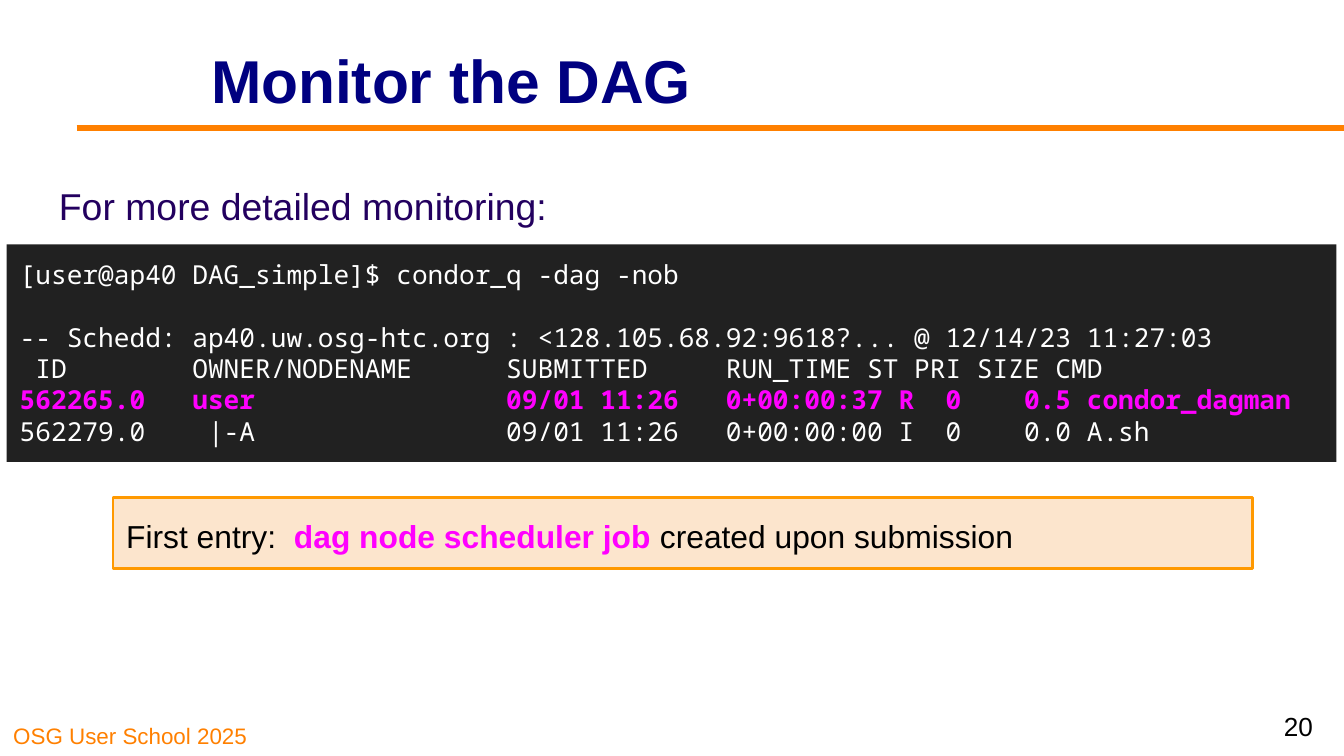
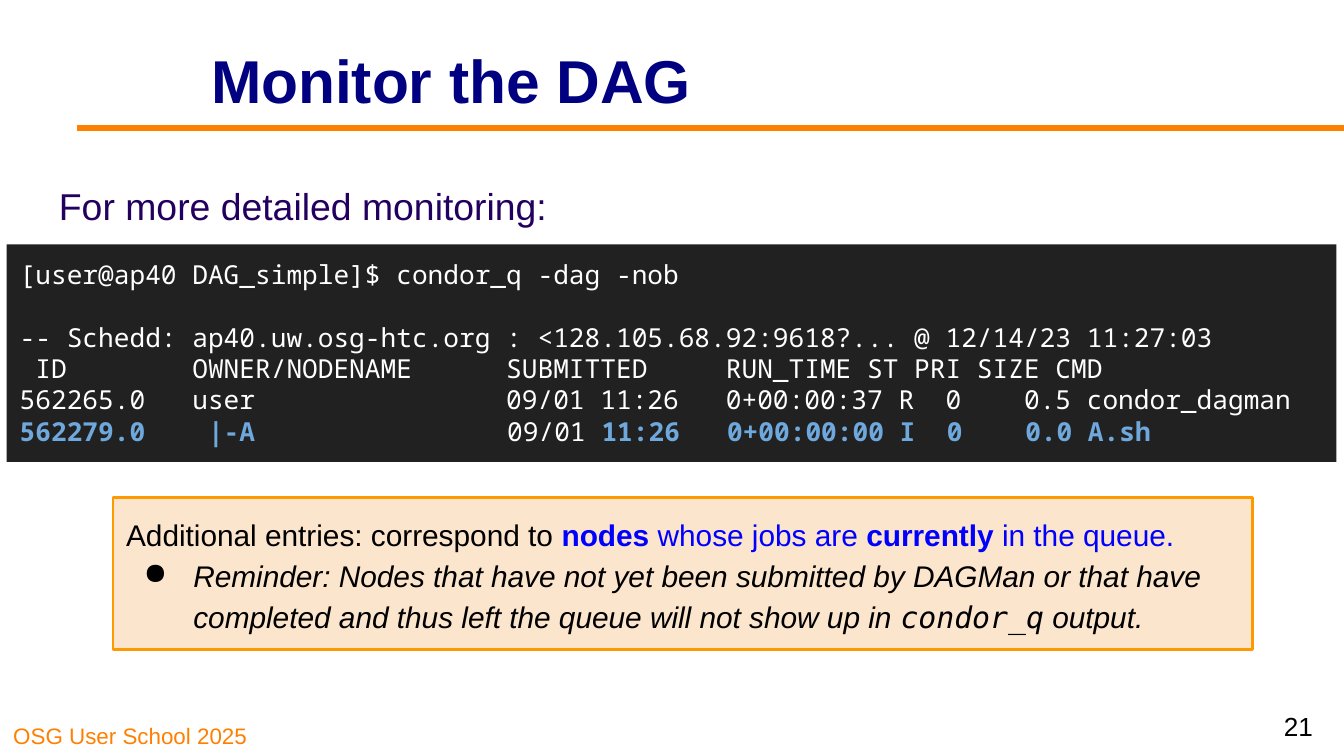
from lxml.etree import SubElement
from pptx import Presentation
from pptx.dml.color import RGBColor
from pptx.enum.shapes import MSO_CONNECTOR, MSO_SHAPE
from pptx.enum.text import MSO_ANCHOR, PP_ALIGN
from pptx.oxml.ns import qn
from pptx.util import Pt

ORANGE = RGBColor(0xFF, 0x80, 0x00)
NAVY = RGBColor(0x00, 0x00, 0x80)
PURPLE = RGBColor(0x23, 0x00, 0x5F)
CONSOLE = RGBColor(0x21, 0x21, 0x21)
PEACH = RGBColor(0xFC, 0xE5, 0xCD)
AMBER = RGBColor(0xFF, 0x99, 0x00)
MAGENTA = RGBColor(0xFF, 0x00, 0xFF)
SKY = RGBColor(0x6F, 0xA8, 0xDC)
BLUE = RGBColor(0x00, 0x00, 0xFF)
BLACK = RGBColor(0x00, 0x00, 0x00)
WHITE = RGBColor(0xFF, 0xFF, 0xFF)

WIDTH, HEIGHT = 720, 405
INSET = 7.2

PROMPT = "[user@ap40 DAG_simple]$ condor_q -dag -nob"
SCHEDD = "-- Schedd: ap40.uw.osg-htc.org : <128.105.68.92:9618?... @ 12/14/23 11:27:03"
HEADINGS = " ID        OWNER/NODENAME      SUBMITTED     RUN_TIME ST PRI SIZE CMD"
MANAGER_JOB = "562265.0   user                09/01 11:26   0+00:00:37 R  0    0.5 condor_dagman"
NODE_JOB = ("562279.0    |-A                ", "09/01", " 11:26   0+00:00:00 I  0    0.0 A.sh")


class Deck:
    """Holds the shared style and the current slide, and draws each kind of element."""

    def __init__(self):
        self.prs = Presentation()
        self.prs.slide_width, self.prs.slide_height = Pt(WIDTH), Pt(HEIGHT)
        self.slide = None

    def start(self, title, lead, number):
        self.slide = self.prs.slides.add_slide(self.prs.slide_layouts[6])
        self.label((0, 382.5, 178.5, 22.5), "OSG User School 2025", 12, ORANGE,
                   anchor=MSO_ANCHOR.BOTTOM, inset=3.6)
        self.rule(41, 68.5, WIDTH)
        self.label((106, 16, 590, 45), title, 32.4, NAVY, bold=True)
        self.label((24.5, 91, 671, 269), lead, 20, PURPLE)
        self.label((667.5, 374.5, 43, 31), str(number), 14, BLACK,
                   anchor=MSO_ANCHOR.MIDDLE, alignment=PP_ALIGN.RIGHT, line_spacing=0.9)

    def rule(self, left, top, right):
        line = self.slide.shapes.add_connector(
            MSO_CONNECTOR.STRAIGHT, Pt(left), Pt(top), Pt(right), Pt(top))
        line.line.color.rgb = ORANGE
        line.line.width = Pt(3)
        SubElement(line._element.spPr, qn("a:effectLst"))

    def label(self, box, text, size, color, bold=False, anchor=MSO_ANCHOR.TOP,
              inset=INSET, **layout):
        holder = self.slide.shapes.add_textbox(*map(Pt, box))
        base = {"name": "Arial", "size": Pt(size), "color": color, "bold": bold}
        self.fill_text(holder.text_frame, [([(text, {})], layout)], base, anchor, inset)

    def panel(self, box, fill, paragraphs, base, border=None):
        panel = self.slide.shapes.add_shape(MSO_SHAPE.RECTANGLE, *map(Pt, box))
        panel.shadow.inherit = False
        panel.fill.solid()
        panel.fill.fore_color.rgb = fill
        if border is None:
            panel.line.fill.background()
        else:
            panel.line.color.rgb = border
            panel.line.width = Pt(1.5)
        self.fill_text(panel.text_frame, paragraphs, base)

    def console(self, manager_format, node_formats):
        lines = [
            ([(PROMPT, {})], {}),
            ([(SCHEDD, {})], {"space_before": Pt(17)}),
            ([(HEADINGS, {})], {}),
            ([(MANAGER_JOB, manager_format)], {}),
            (list(zip(NODE_JOB, node_formats)), {}),
        ]
        base = {"name": "Noto Sans Mono", "size": Pt(14), "color": WHITE}
        self.panel((3.5, 131, 712.5, 116.5), CONSOLE, lines, base)

    def note(self, height, size, paragraphs):
        base = {"name": "Arial", "size": Pt(size), "color": BLACK}
        paragraphs = [(runs, {"line_spacing": 1.15, **layout}) for runs, layout in paragraphs]
        self.panel((60.5, 266.5, 610.5, height), PEACH, paragraphs, base, AMBER)

    def fill_text(self, frame, paragraphs, base, anchor=MSO_ANCHOR.TOP, inset=INSET):
        settings = {"word_wrap": True, "vertical_anchor": anchor,
                    "margin_left": Pt(INSET), "margin_right": Pt(INSET),
                    "margin_top": Pt(inset), "margin_bottom": Pt(inset)}
        for key, value in settings.items():
            setattr(frame, key, value)
        for index, (runs, layout) in enumerate(paragraphs):
            paragraph = frame.add_paragraph() if index else frame.paragraphs[0]
            layout = {"alignment": PP_ALIGN.LEFT, **layout}
            if layout.pop("bullet", False):
                self.bullet(paragraph)
            for key, value in layout.items():
                setattr(paragraph, key, value)
            for text, changes in runs:
                run = paragraph.add_run()
                run.text = text
                for key, value in {**base, **changes}.items():
                    if key == "color":
                        run.font.color.rgb = value
                    else:
                        setattr(run.font, key, value)

    def bullet(self, paragraph):
        properties = paragraph._p.get_or_add_pPr()
        properties.set("marL", str(Pt(36)))
        properties.set("indent", str(Pt(-26.6)))
        color = SubElement(properties, qn("a:buClr"))
        SubElement(color, qn("a:srgbClr"), val=str(BLACK))
        SubElement(properties, qn("a:buChar"), char="●")


def main():
    deck = Deck()
    title, lead = "Monitor the DAG", "For more detailed monitoring:"
    magenta = {"color": MAGENTA, "bold": True}
    sky = {"color": SKY, "bold": True}
    blue = {"color": BLUE}
    strong_blue = {"color": BLUE, "bold": True}
    italic = {"italic": True}

    deck.start(title, lead, 20)
    deck.console(magenta, ({}, {}, {}))
    deck.note(38, 17, [([
        ("First entry: ", {}),
        (" dag node scheduler job ", magenta),
        ("created upon submission", {}),
    ], {})])

    deck.start(title, lead, 21)
    deck.console({}, (sky, {}, sky))
    deck.note(81.5, 16, [
        ([
            ("Additional entries: correspond to ", {}),
            ("nodes", strong_blue),
            (" whose jobs are ", blue),
            ("currently", strong_blue),
            (" in the queue.", blue),
        ], {}),
        ([
            ("Reminder: Nodes that have not yet been submitted by DAGMan or that have "
             "completed and thus left the queue will not show up in ", italic),
            ("condor_q", {**italic, "name": "DejaVu Sans Mono"}),
            (" output.", italic),
        ], {"bullet": True}),
    ])
    deck.prs.save("out.pptx")


if __name__ == "__main__":
    main()
